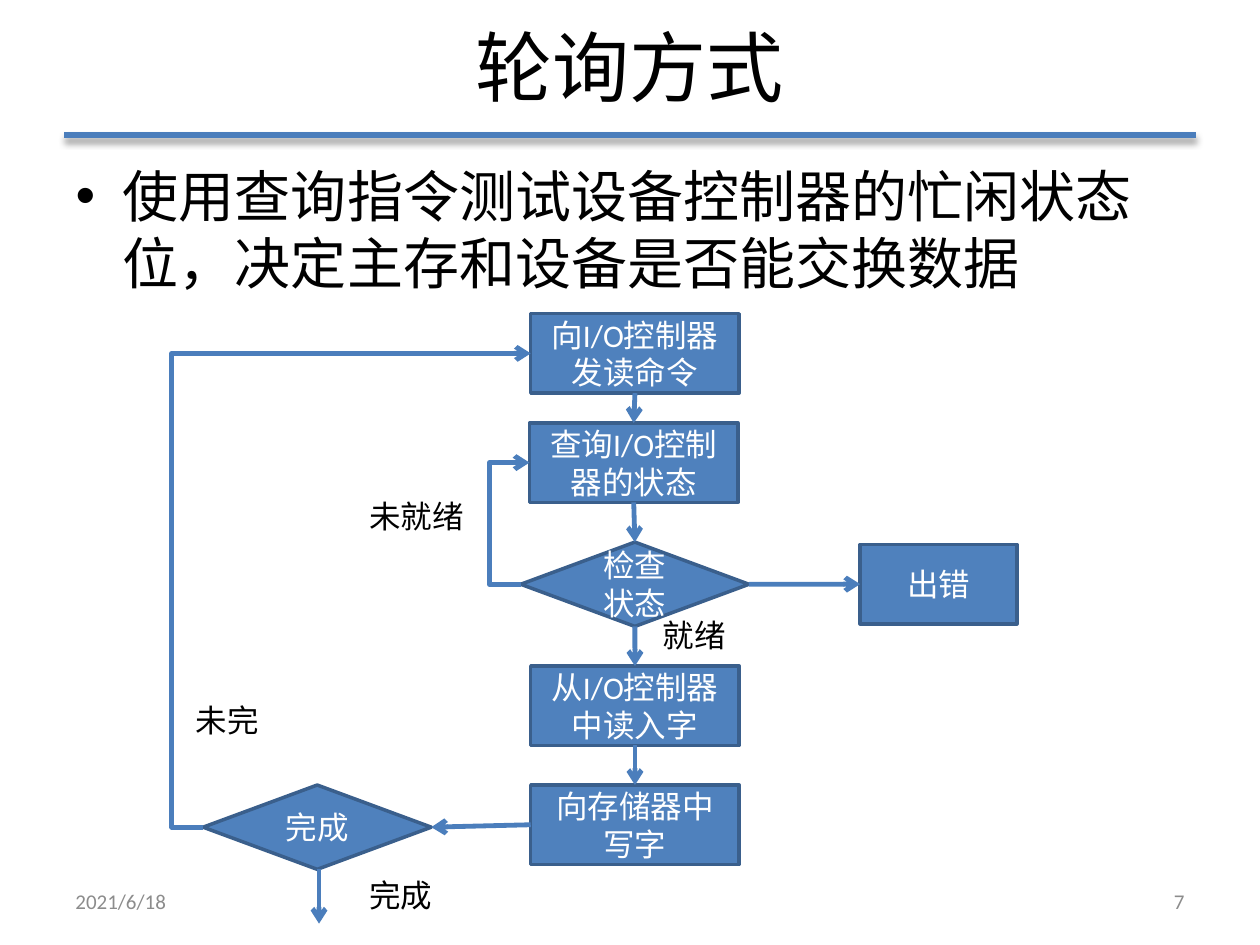
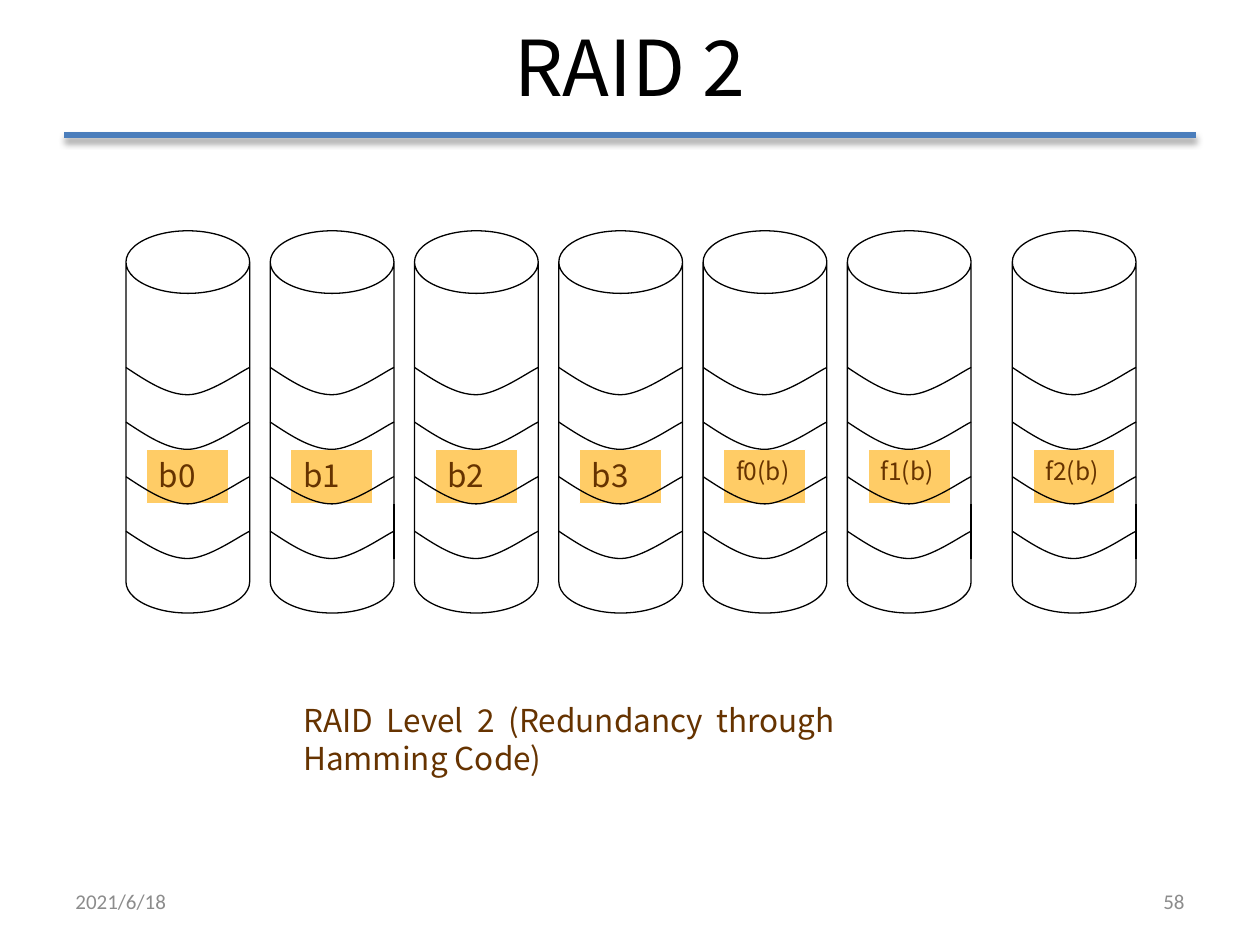
from dataclasses import dataclass

from lxml import etree
from pptx import Presentation
from pptx.dml.color import RGBColor
from pptx.enum.shapes import MSO_CONNECTOR, MSO_SHAPE
from pptx.enum.text import MSO_ANCHOR, PP_ALIGN
from pptx.oxml.ns import qn
from pptx.util import Pt

STRAIGHT, ELBOW = MSO_CONNECTOR.STRAIGHT, MSO_CONNECTOR.ELBOW
RECTANGLE, DECISION, CAN = MSO_SHAPE.RECTANGLE, MSO_SHAPE.FLOWCHART_DECISION, MSO_SHAPE.CAN
LEFT, CENTER, RIGHT, JUSTIFY = PP_ALIGN.LEFT, PP_ALIGN.CENTER, PP_ALIGN.RIGHT, PP_ALIGN.JUSTIFY
TOP, MIDDLE = MSO_ANCHOR.TOP, MSO_ANCHOR.MIDDLE
TOP_SIDE, LEFT_SIDE, BOTTOM_SIDE, RIGHT_SIDE = range(4)


@dataclass(frozen=True)
class Theme:
    latin: str = "Calibri"
    asian: str = "Noto Sans CJK JP"
    black: str = "000000"
    white: str = "FFFFFF"
    grey: str = "8C8C8C"
    blue: str = "4F81BD"
    border: str = "3A5F8C"
    arrow: str = "4B7EBC"
    brown: str = "663300"
    amber: str = "FFCC66"
    title_size: int = 44
    body_size: int = 32
    text_size: int = 18
    small_size: int = 14
    footer_size: int = 12
    thin: float = 0.75


THEME = Theme()


def color(value):
    return RGBColor.from_string(value)


def write(box, text, size, font, ink, align=LEFT, anchor=TOP, wrap=True):
    frame = box.text_frame
    frame.word_wrap = wrap
    frame.vertical_anchor = anchor
    para = frame.paragraphs[0]
    para.text = text
    para.alignment = align
    para.font.size = Pt(size)
    para.font.name = font
    para.font.color.rgb = color(ink)
    latin = para.font._element.find(qn("a:latin"))
    latin.addnext(etree.Element(qn("a:ea"), typeface=THEME.asian))


def add_text(shapes, area, text, *style, **options):
    box = shapes.add_textbox(*map(Pt, area))
    write(box, text, *style, **options)


def add_block(shapes, kind, area, fill, line, width):
    block = shapes.add_shape(kind, *map(Pt, area))
    block.shadow.inherit = False
    block.fill.solid()
    block.fill.fore_color.rgb = color(fill)
    block.line.color.rgb = color(line)
    block.line.width = Pt(width)
    return block


def add_line(shapes, kind, start, end, ink, width):
    line = shapes.add_connector(kind, *map(Pt, start + end))
    line.line.color.rgb = color(ink)
    line.line.width = Pt(width)
    etree.SubElement(line._element.spPr, qn("a:effectLst"))
    return line


def add_arrow(shapes, start, end, kind=STRAIGHT):
    arrow = add_line(shapes, kind, start, end, THEME.arrow, 2.75)
    etree.SubElement(arrow.line._get_or_add_ln(), qn("a:tailEnd"), type="arrow")
    return arrow


def join(shapes, source, source_side, target, target_side):
    arrow = add_arrow(shapes, (0, 0), (0, 0))
    arrow.begin_connect(source, source_side)
    arrow.end_connect(target, target_side)


def add_return(shapes, start, end, lane):
    arrow = add_arrow(shapes, start, end, ELBOW)
    bend = round(100000 * (lane - start[0]) / (end[0] - start[0]))
    guides = arrow._element.spPr.find(qn("a:prstGeom")).get_or_add_avLst()
    etree.SubElement(guides, qn("a:gd"), name="adj1", fmla=f"val {bend}")


def add_rule(shapes, left, top, width):
    rule = add_line(shapes, STRAIGHT, (left, top), (left + width, top), THEME.arrow, 3)
    effects = rule._element.spPr.find(qn("a:effectLst"))
    shadow = etree.SubElement(effects, qn("a:outerShdw"), blurRad=str(Pt(4)),
                              dist=str(Pt(3)), dir="5400000", rotWithShape="0")
    shade = etree.SubElement(shadow, qn("a:srgbClr"), val=THEME.black)
    etree.SubElement(shade, qn("a:alpha"), val="40000")


def add_page(deck, title, number):
    page = deck.slides.add_slide(deck.slide_layouts[6])
    shapes = page.shapes
    add_rule(shapes, 36.7, 77.2, 646.6)
    add_text(shapes, (36, -2.2, 648, 79.2), title, THEME.title_size, THEME.asian,
             THEME.black, CENTER, MIDDLE)
    for left, text, align in ((36, "2021/6/18", LEFT), (516, number, RIGHT)):
        add_text(shapes, (left, 500.5, 168, 28.75), text, THEME.footer_size,
                 THEME.latin, THEME.grey, align, MIDDLE)
    return page


def add_bullet(shapes, area, text):
    box = shapes.add_textbox(*map(Pt, area))
    properties = box.text_frame.paragraphs[0]._p.get_or_add_pPr()
    properties.set("marL", str(Pt(27)))
    properties.set("indent", str(Pt(-27)))
    etree.SubElement(properties, qn("a:buFont"), typeface="Arial")
    etree.SubElement(properties, qn("a:buChar"), char="•")
    write(box, text, THEME.body_size, THEME.asian, THEME.black)


def add_flowchart(shapes, left, top):
    def spot(x, y):
        return left + x, top + y

    def step(kind, x, y, size, text):
        block = add_block(shapes, kind, (*spot(x, y), *size), THEME.blue, THEME.border, 2)
        write(block, text, THEME.text_size, THEME.latin, THEME.white, CENTER, MIDDLE)
        return block

    box_size, decision_size = (119.1, 45.4), (130.4, 48.2)
    command = step(RECTANGLE, 205.2, 0, box_size, "向I/O控制器发读命令")
    query = step(RECTANGLE, 204.5, 62.4, box_size, "查询I/O控制器的状态")
    check = step(DECISION, 199.5, 130.5, decision_size, "检查状态")
    read = step(RECTANGLE, 205.2, 201.3, box_size, "从I/O控制器中读入字")
    store = step(RECTANGLE, 205.2, 269.3, box_size, "向存储器中写字")
    finish = step(DECISION, 18, 269.3, decision_size, "完成")
    error = step(RECTANGLE, 393.4, 131.8, (89.6, 45.4), "出错")

    chain = (command, query, check, read, store)
    for source, target in zip(chain, chain[1:]):
        join(shapes, source, BOTTOM_SIDE, target, TOP_SIDE)
    join(shapes, store, LEFT_SIDE, finish, RIGHT_SIDE)
    join(shapes, check, RIGHT_SIDE, error, LEFT_SIDE)
    add_arrow(shapes, spot(84.2, 317.5), spot(84.2, 348.5))

    add_return(shapes, spot(199.5, 154.6), spot(204.5, 85.1), left + 181.5)
    add_return(shapes, spot(18, 293.4), spot(205.2, 22.7), left)

    for x, y, width, text in ((105.8, 101.3, 69.1, "未就绪"), (273.4, 169.2, 51.1, "就绪"),
                              (6.8, 217.5, 51.1, "未完"), (105.8, 317.5, 51.1, "完成")):
        add_text(shapes, (*spot(x, y), width, 28.8), text, THEME.text_size,
                 THEME.latin, THEME.black, wrap=False)


def add_platter_edge(shapes, left, top, width):
    depth = 15.6
    half = width / 2
    builder = shapes.build_freeform(Pt(left), Pt(top))
    builder.add_line_segments([(Pt(left + half), Pt(top + depth)),
                               (Pt(left + width), Pt(top))], close=False)
    edge = builder.convert_to_shape()
    curves = (((width / 6, depth / 2), (width / 3, depth), (half, depth)),
              ((width * 2 / 3, depth), (width * 0.92, depth / 6), (width, 0)))
    for segment, points in zip(list(edge._element.iter(qn("a:lnTo"))), curves):
        curve = etree.Element(qn("a:cubicBezTo"))
        for x, y in points:
            etree.SubElement(curve, qn("a:pt"), x=str(Pt(x)), y=str(Pt(y)))
        segment.getparent().replace(segment, curve)
    edge.shadow.inherit = False
    edge.fill.background()
    edge.line.color.rgb = color(THEME.black)
    edge.line.width = Pt(THEME.thin)


def add_disk(shapes, left, top, label, size):
    width, height, pitch = 70.7, 218.4, 31.2
    can = add_block(shapes, CAN, (left, top, width, height),
                    THEME.white, THEME.black, THEME.thin)
    can.adjustments[0] = 0.506
    tag = add_block(shapes, RECTANGLE, (left + 11.75, top + 125, 47, 31),
                    THEME.amber, THEME.white, THEME.thin)
    write(tag, label, size, THEME.asian, THEME.brown)
    for row in range(4):
        add_platter_edge(shapes, left, top + 78.1 + row * pitch, width)
    right = left + width
    add_line(shapes, STRAIGHT, (right, top + 156.2), (right, top + 156.2 + pitch),
             THEME.black, THEME.thin)


def add_disk_array(page, left, top):
    shapes = page.shapes.add_group_shape().shapes
    pitch, last_gap = 82.45, 11.8
    data, parity = ("b0", "b1", "b2", "b3"), ("f0(b)", "f1(b)", "f2(b)")
    labels = data + parity
    for index, label in enumerate(labels):
        shift = last_gap if label == labels[-1] else 0
        size = THEME.text_size if label in data else THEME.small_size
        add_disk(shapes, left + index * pitch + shift, top, label, size)
    caption = add_block(shapes, RECTANGLE, (left + 94.2, top + 265.4, 318.1, 46.8),
                        THEME.white, THEME.white, THEME.thin)
    write(caption, "RAID Level 2 (Redundancy through Hamming Code)", THEME.text_size,
          THEME.asian, THEME.brown, JUSTIFY)


def main():
    deck = Presentation()
    deck.slide_width, deck.slide_height = Pt(720), Pt(540)
    polling = add_page(deck, "轮询方式", "7")
    add_bullet(polling.shapes, (36.2, 88.6, 648, 393.8),
               "使用查询指令测试设备控制器的忙闲状态位，决定主存和设备是否能交换数据")
    add_flowchart(polling.shapes, 98.1, 179.3)
    raid = add_page(deck, "RAID 2", "58")
    add_disk_array(raid, 72, 131.9)
    deck.save("out.pptx")


if __name__ == "__main__":
    main()
